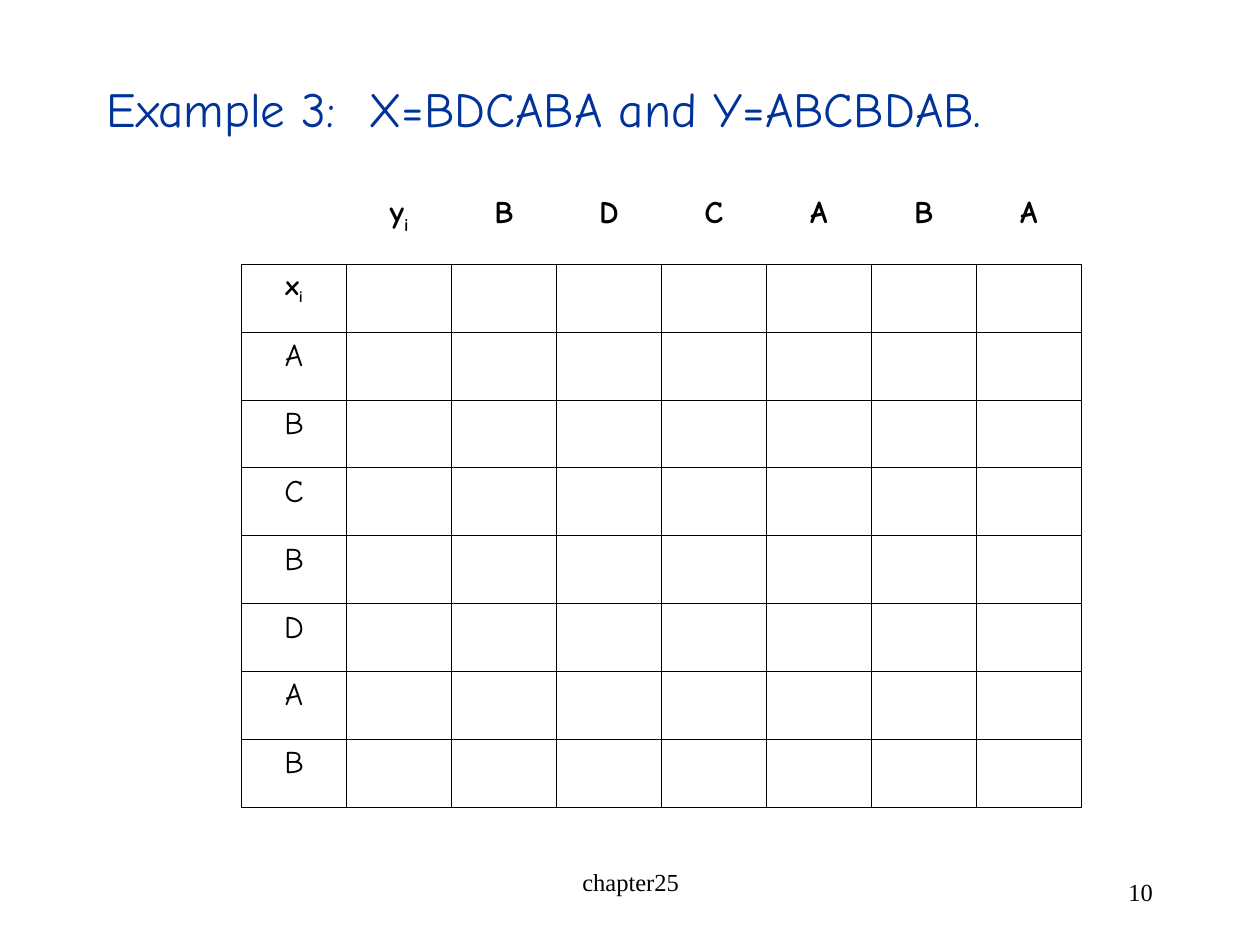
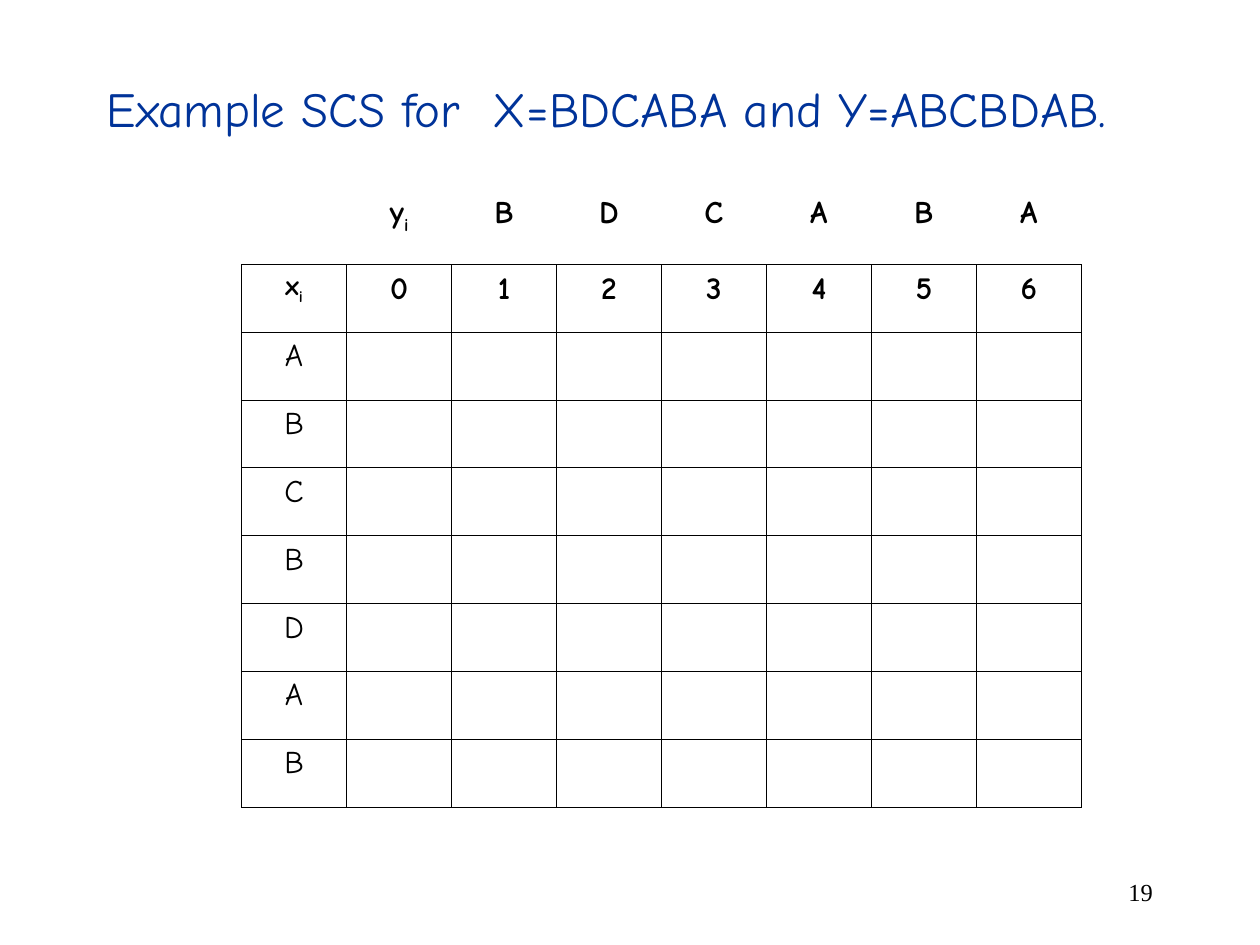
from lxml.etree import SubElement
from pptx import Presentation
from pptx.dml.color import RGBColor
from pptx.enum.text import MSO_ANCHOR, MSO_AUTO_SIZE, PP_ALIGN
from pptx.oxml.ns import qn
from pptx.util import Cm, Pt

X_HEADINGS = ["", "y_i", *"BDCABA"]
Y_HEADINGS = ["x_i", *"ABCBDAB"]
COLUMN_INDEXES = list("0123456")


def color(hex_value):
    """Turn a hex string into a colour."""
    return RGBColor.from_string(hex_value)


class Deck:
    """Hold the shared style and the current slide."""

    HAND_FONT, FOOTER_FONT = "Comic Neue", "Times New Roman"
    INK, TITLE_BLUE, PAPER = "000000", "003399", "FFFFFF"
    GRID_LEFT, GRID_WIDTH = Cm(4.87), Cm(16.93)

    def __init__(self):
        """Start a presentation of 4:3 slides."""
        self.presentation = Presentation()
        self.presentation.slide_width = Cm(25.4)
        self.presentation.slide_height = Cm(19.05)
        self.slide = None

    def style(self, run, size, font=HAND_FONT, ink=INK, bold=False):
        """Set the font of one run."""
        run.font.name = font
        run.font.size = Pt(size)
        run.font.bold = bold
        run.font.color.rgb = color(ink)

    def add_slide(self, title):
        """Add a slide with its title at the top left."""
        self.slide = self.presentation.slides.add_slide(self.presentation.slide_layouts[5])
        shape = self.slide.shapes.title
        shape.left, shape.top, shape.width, shape.height = Cm(1.9), Cm(1.73), Cm(21.6), Cm(1.88)
        frame = shape.text_frame
        frame.text = title
        frame.auto_size = MSO_AUTO_SIZE.NONE
        frame.vertical_anchor = MSO_ANCHOR.TOP
        paragraph = frame.paragraphs[0]
        paragraph.alignment = PP_ALIGN.LEFT
        paragraph.line_spacing = Pt(26)
        self.style(paragraph.runs[0], 28, ink=self.TITLE_BLUE)

    def add_footer(self, text, left, width, alignment, anchor):
        """Add one text box on the footer line."""
        frame = self.slide.shapes.add_textbox(left, Cm(17.35), width, Cm(1.27)).text_frame
        frame.text = text
        frame.word_wrap = True
        frame.vertical_anchor = anchor
        paragraph = frame.paragraphs[0]
        paragraph.alignment = alignment
        self.style(paragraph.runs[0], 14, self.FOOTER_FONT)

    def add_chapter(self, text):
        """Add the chapter name in the middle."""
        self.add_footer(text, Cm(8.69), Cm(8.05), PP_ALIGN.CENTER, MSO_ANCHOR.TOP)

    def add_number(self, number):
        """Add the slide number on the right."""
        self.add_footer(str(number), Cm(18.21), Cm(5.28), PP_ALIGN.RIGHT, MSO_ANCHOR.MIDDLE)

    def add_grid(self, rows, top, height, ruled):
        """Add a table of equal cells, with or without rules."""
        table = self.slide.shapes.add_table(
            len(rows), len(rows[0]), self.GRID_LEFT, top, self.GRID_WIDTH, height
        ).table
        table.first_row = table.horz_banding = False
        for row_index, row in enumerate(rows):
            for column_index, text in enumerate(row):
                cell = table.cell(row_index, column_index)
                self.set_borders(cell, ruled)
                cell.fill.solid()
                cell.fill.fore_color.rgb = color(self.PAPER)
                self.write_cell(cell, text, bold=row_index == 0)

    def set_borders(self, cell, ruled):
        """Draw thin rules round a cell, or none."""
        properties = cell._tc.get_or_add_tcPr()
        for side in ("lnL", "lnR", "lnT", "lnB"):
            line = SubElement(properties, qn(f"a:{side}"), w=str(Pt(0.45)))
            if ruled:
                fill = SubElement(line, qn("a:solidFill"))
                SubElement(fill, qn("a:srgbClr"), val=self.INK)
            else:
                SubElement(line, qn("a:noFill"))

    def write_cell(self, cell, text, bold):
        """Write a centred cell, with a subscript after an underscore."""
        if not text:
            return
        paragraph = cell.text_frame.paragraphs[0]
        paragraph.alignment = PP_ALIGN.CENTER
        size = 16 if text == "x_i" else 18
        for position, part in enumerate(text.split("_")):
            run = paragraph.add_run()
            run.text = part
            self.style(run, size, bold=bold)
            if position:
                run._r.get_or_add_rPr().set("baseline", "-25000")

    def add_matrix(self, first_row):
        """Add the ruled matrix and the headings above it."""
        blank_row = [""] * len(first_row)
        rows = [
            [heading, *(blank_row if index else first_row)]
            for index, heading in enumerate(Y_HEADINGS)
        ]
        self.add_grid(rows, Cm(5.33), Cm(10.94), ruled=True)
        self.add_grid([X_HEADINGS], Cm(3.81), Cm(1.12), ruled=False)


def main():
    """Build both example slides."""
    deck = Deck()

    deck.add_slide("Example 3:  X=BDCABA and Y=ABCBDAB.")
    deck.add_chapter("chapter25")
    deck.add_number(10)
    deck.add_matrix([""] * len(COLUMN_INDEXES))

    deck.add_slide("Example SCS for  X=BDCABA and Y=ABCBDAB.")
    deck.add_number(19)
    deck.add_matrix(COLUMN_INDEXES)

    deck.presentation.save("out.pptx")


if __name__ == "__main__":
    main()
